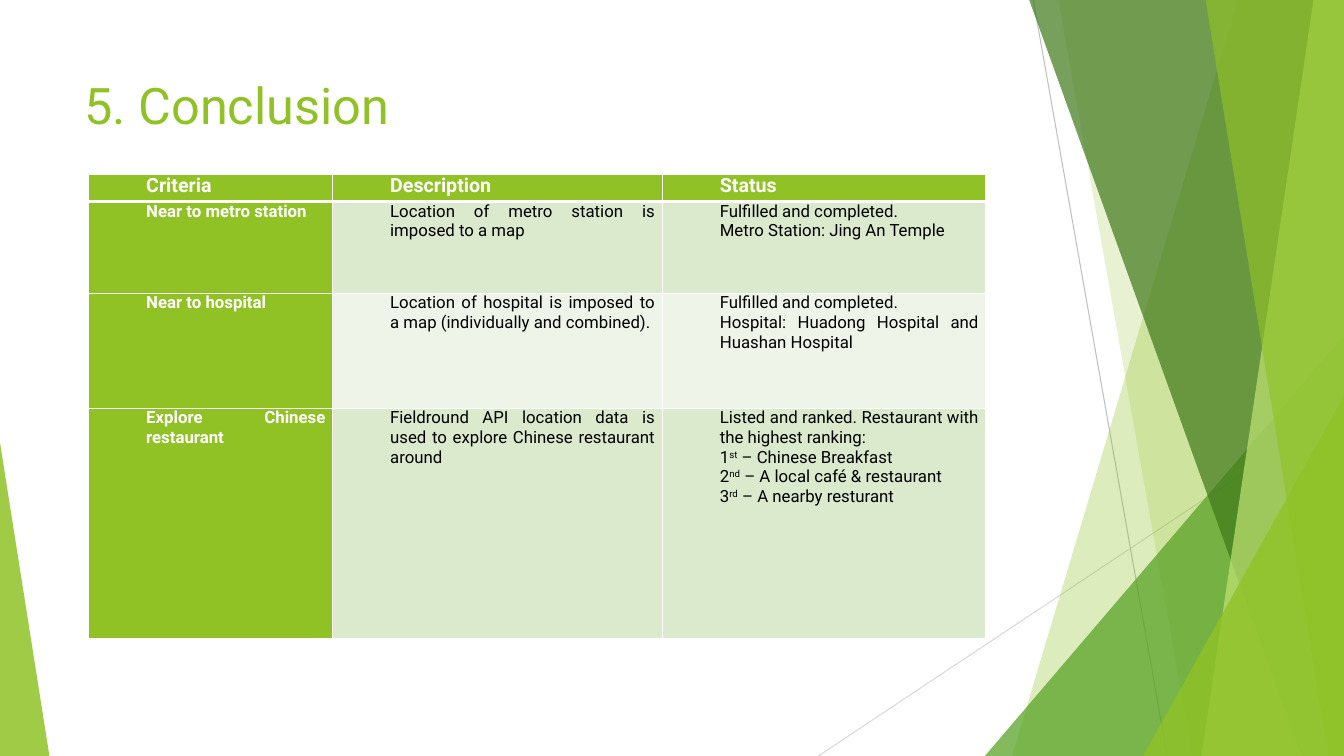
"""Build the conclusion slide: a criteria table beside translucent green panes."""
from lxml.etree import SubElement, fromstring
from pptx import Presentation
from pptx.dml.color import RGBColor
from pptx.enum.shapes import MSO_CONNECTOR, MSO_SHAPE
from pptx.enum.text import MSO_ANCHOR, PP_ALIGN
from pptx.oxml.ns import nsdecls, qn
from pptx.util import Inches, Pt

COLORS = {
    "green": "90C226", "leaf": "54A021", "forest": "3F7819", "lime": "C0E474",
    "band": "DBE9CD", "pale": "EEF4E8", "white": "FFFFFF", "black": "000000",
    "gray": "BFBFBF", "silver": "D9D9D9",
}
FONT = "Roboto"

deck = Presentation()
deck.slide_width, deck.slide_height = Inches(13.33), Inches(7.5)
slide = deck.slides.add_slide(deck.slide_layouts[6])


def across(percent):
    return round(deck.slide_width * percent / 100)


def down(percent):
    return round(deck.slide_height * percent / 100)


rays = [
    (76.88, 0, 86.85, 100, "gray"),
    (100, 53.73, 60.9, 100, "silver"),
]
for x1, y1, x2, y2, color in rays:
    ray = slide.shapes.add_connector(
        MSO_CONNECTOR.STRAIGHT, across(x1), down(y1), across(x2), down(y2))
    ray.line.color.rgb = RGBColor.from_string(COLORS[color])
    ray.line.width = Pt(0.75)
    SubElement(ray._element.spPr, qn("a:effectLst"))

panes = [
    ((92.1, 75.3), "green", 30),
    ((78.75, 88.73), "green", 20),
    ((73.28, 44.4, 26.72, 1), "leaf", 72),
    ((76.58, 96.83), "forest", 70),
    ((97.73, 89.4), "lime", 70),
    ((89.7, 98.85), "green", 65),
    ((85.05, 52.4, 14.95, 1), "green", 80),
    ((0, 58.53, 3.68, 0), "green", 85),
]
for outline, color, opacity in panes:
    if len(outline) == 2:
        top_x, bottom_x = outline
        builder = slide.shapes.build_freeform(across(top_x), 0)
        builder.add_line_segments([
            (across(100), 0), (across(100), down(100)), (across(bottom_x), down(100))])
        pane = builder.convert_to_shape()
    else:
        left, top, width, apex = outline
        pane = slide.shapes.add_shape(
            MSO_SHAPE.ISOSCELES_TRIANGLE,
            across(left), down(top), across(width), down(100 - top))
        pane.adjustments[0] = apex
    pane.shadow.inherit = False
    pane.line.fill.background()
    pane.fill.solid()
    pane.fill.fore_color.rgb = RGBColor.from_string(COLORS[color])
    tint = pane._element.xpath("p:spPr/a:solidFill/a:srgbClr")[0]
    SubElement(tint, qn("a:alpha"), val=str(opacity * 1000))

heading = slide.shapes.add_textbox(across(5.55), down(8.93), across(70.5), down(9.73))
heading.text_frame.word_wrap = True
heading.text_frame.vertical_anchor = MSO_ANCHOR.MIDDLE
heading_run = heading.text_frame.paragraphs[0].add_run()
heading_run.text = "5. Conclusion"
heading_run.font.name, heading_run.font.size = FONT, Pt(36)
heading_run.font.color.rgb = RGBColor.from_string(COLORS["green"])

column_shares = [18.15, 24.53, 24.08]
row_shares = [3.6, 12.13, 15.2, 30.53]
row_fills = ["green", "band", "pale", "band"]
criteria = [
    [["Criteria"], ["Description"], ["Status"]],
    [["Near to metro station"],
     ["Location of metro station is imposed to a map"],
     ["Fulfilled and completed.", "Metro Station: Jing An Temple"]],
    [["Near to hospital"],
     ["Location of hospital is imposed to a map (individually and combined)."],
     ["Fulfilled and completed.", "Hospital: Huadong Hospital and Huashan Hospital"]],
    [["Explore Chinese restaurant"],
     ["Fieldround API location data is used to explore Chinese restaurant around"],
     ["Listed and ranked. Restaurant with the highest ranking:",
      "1^st^ – Chinese Breakfast",
      "2^nd^ – A local café & restaurant",
      "3^rd^ – A nearby resturant"]],
]
table = slide.shapes.add_table(
    len(row_shares), len(column_shares), across(6.6), down(23.07),
    across(sum(column_shares)), down(sum(row_shares))).table
for column, share in zip(table.columns, column_shares):
    column.width = across(share)
for row, share in zip(table.rows, row_shares):
    row.height = down(share)

for r, entries in enumerate(criteria):
    for c, lines in enumerate(entries):
        is_label = r == 0 or c == 0
        cell = table.cell(r, c)
        cell.margin_left = cell.margin_right = across(0.53)
        cell.margin_top = cell.margin_bottom = 0
        cell.fill.solid()
        cell.fill.fore_color.rgb = RGBColor.from_string(
            COLORS["green" if is_label else row_fills[r]])
        edges = {"lnL": 1, "lnR": 1, "lnT": 3 if r == 1 else 1, "lnB": 3 if r == 0 else 1}
        for position, (edge, points) in enumerate(edges.items()):
            cell._tc.get_or_add_tcPr().insert(position, fromstring(
                f'<a:{edge} {nsdecls("a")} w="{Pt(points)}"><a:solidFill>'
                f'<a:srgbClr val="{COLORS["white"]}"/></a:solidFill></a:{edge}>'))
        for n, line in enumerate(lines):
            frame = cell.text_frame
            paragraph = frame.add_paragraph() if n else frame.paragraphs[0]
            paragraph.alignment = PP_ALIGN.JUSTIFY
            paragraph._p.get_or_add_pPr().set("marL", str(across(3.75)))
            for part, words in enumerate(line.split("^")):
                run = paragraph.add_run()
                run.text = words
                run.font.name, run.font.size = FONT, Pt(12 if r else 14)
                run.font.bold = is_label
                run.font.color.rgb = RGBColor.from_string(
                    COLORS["white" if is_label else "black"])
                if part % 2:
                    run._r.get_or_add_rPr().set("baseline", "30000")

deck.save("out.pptx")
